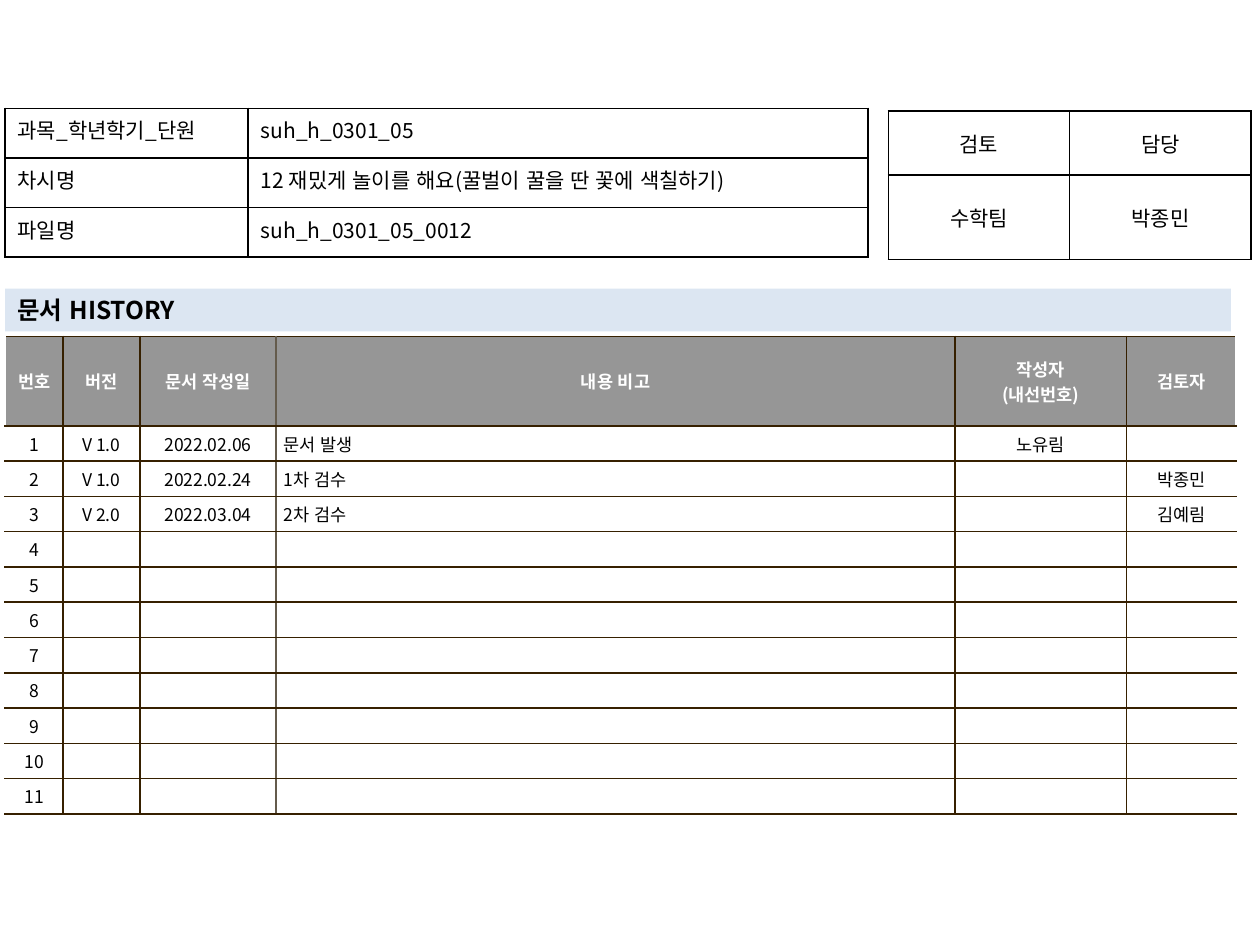
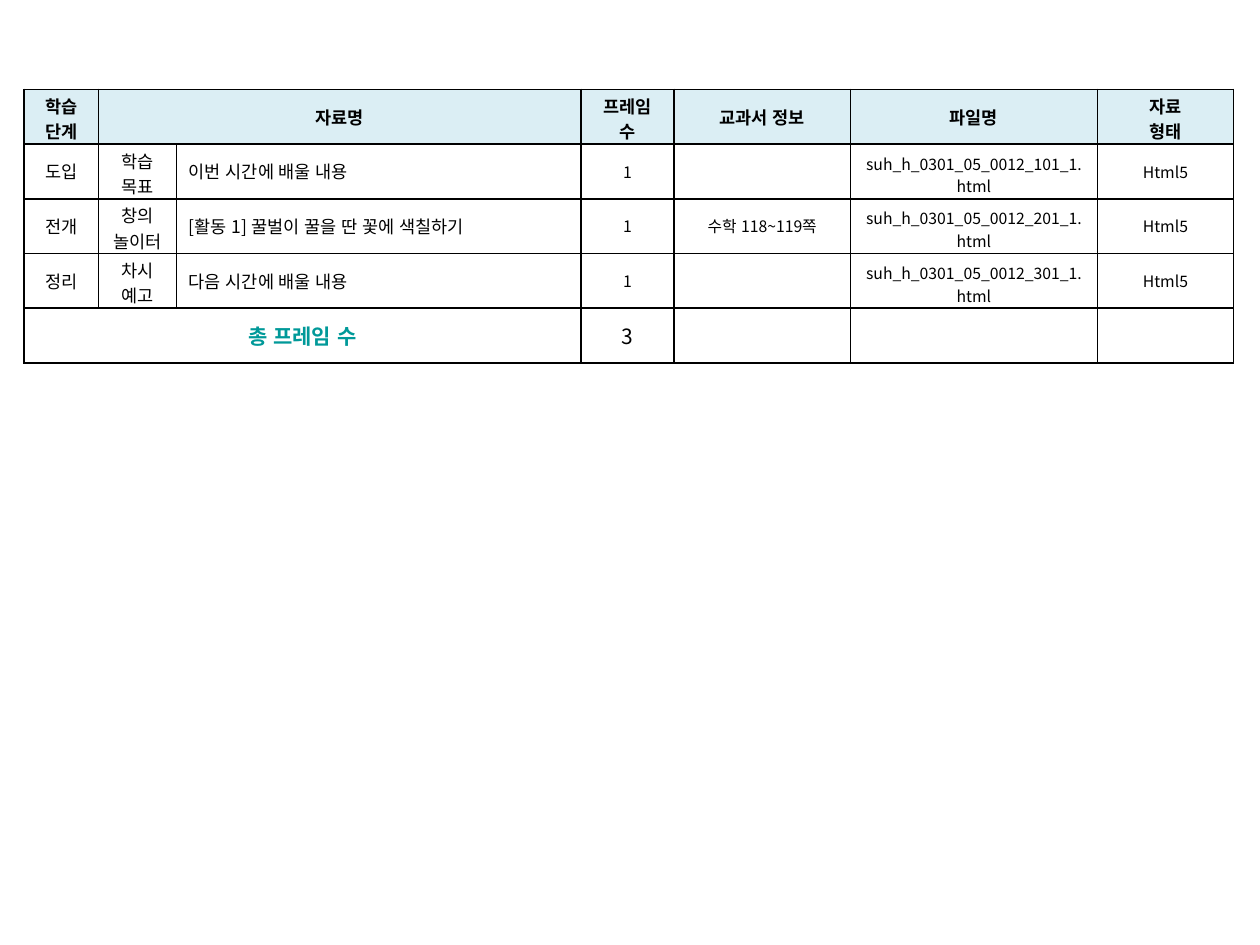
from dataclasses import dataclass, replace

from lxml import etree
from pptx import Presentation
from pptx.dml.color import RGBColor
from pptx.enum import lang, shapes, text
from pptx.oxml.ns import qn
from pptx.util import Inches, Pt

FONT = "Noto Sans CJK KR"
BLACK, WHITE, TEAL = "000000", "FFFFFF", "009999"
BAND, HEAD_GREY, HEAD_BLUE = "DCE6F2", "969696", "DBEEF4"
BROWN, LIGHT_BROWN = "362000", "645B4C"

LEFT, CENTER, JUSTIFY = text.PP_ALIGN.LEFT, text.PP_ALIGN.CENTER, text.PP_ALIGN.JUSTIFY
TOP, MIDDLE = text.MSO_ANCHOR.TOP, text.MSO_ANCHOR.MIDDLE


@dataclass(frozen=True)
class CellStyle:
    size: float = 12
    color: str = BLACK
    bold: bool = False
    align: text.PP_ALIGN = CENTER
    anchor: text.MSO_ANCHOR = MIDDLE
    fill: str | None = None
    inset_x: float = 0.1
    inset_top: float = 0.05
    inset_bottom: float = 0.05


@dataclass(frozen=True)
class Grid:
    left: float
    top: float
    cols: list[float]
    rows: list[float]


def rgb(color: str) -> RGBColor:
    return RGBColor.from_string(color)


def write(tf, content: str, style: CellStyle) -> None:
    """Fill a text frame, one paragraph per line of content."""
    tf.word_wrap = True
    for i, line in enumerate(content.split("\n")):
        p = tf.paragraphs[0] if i == 0 else tf.add_paragraph()
        p.alignment = style.align
        if not line:
            etree.SubElement(p._p, qn("a:endParaRPr"), sz=str(int(style.size * 100)))
            continue
        r = p.add_run()
        r.text = line
        look = {"size": Pt(style.size), "bold": style.bold, "name": FONT,
                "language_id": lang.MSO_LANGUAGE_ID.KOREAN}
        for name, value in look.items():
            setattr(r.font, name, value)
        r.font.color.rgb = rgb(style.color)
        etree.SubElement(r.font._element, qn("a:ea"), typeface=FONT)


def set_borders(cell, edges: dict[str, str]) -> None:
    """Draw 1 pt lines; edges maps L, R, T, B (in this order) to colours."""
    props = cell._tc.get_or_add_tcPr()
    for i, (side, color) in enumerate(edges.items()):
        ln = etree.Element(qn(f"a:ln{side}"), w=str(Pt(1)))
        fill = etree.SubElement(ln, qn("a:solidFill"))
        etree.SubElement(fill, qn("a:srgbClr"), val=color)
        props.insert(i, ln)


def fill_cell(cell, content: str, style: CellStyle, edges: dict[str, str]) -> None:
    layout = {"margin_left": Inches(style.inset_x), "margin_right": Inches(style.inset_x),
              "margin_top": Inches(style.inset_top),
              "margin_bottom": Inches(style.inset_bottom),
              "vertical_anchor": style.anchor}
    for name, value in layout.items():
        setattr(cell, name, value)
    if style.fill:
        cell.fill.solid()
        cell.fill.fore_color.rgb = rgb(style.fill)
    else:
        cell.fill.background()
    write(cell.text_frame, content, style)
    set_borders(cell, edges)


def add_grid(slide, grid: Grid, data, style_at, edges_at, spans=()) -> None:
    """Add a table; spans lists (row, first column, last column) to merge."""
    frame = slide.shapes.add_table(
        len(grid.rows), len(grid.cols), Inches(grid.left), Inches(grid.top),
        Inches(sum(grid.cols)), Inches(sum(grid.rows)))
    table = frame.table
    table.first_row = table.horz_banding = False
    for col, width in zip(table.columns, grid.cols):
        col.width = Inches(width)
    for row, height in zip(table.rows, grid.rows):
        row.height = Inches(height)
    for r, values in enumerate(data):
        for c, content in enumerate(values):
            fill_cell(table.cell(r, c), content, style_at(r, c), edges_at(c))
    for row, first, last in spans:
        table.cell(row, first).merge(table.cell(row, last))


def black_edges(col: int) -> dict[str, str]:
    return dict.fromkeys("LRTB", BLACK)


def history_edges(col: int) -> dict[str, str]:
    """Open at both outer sides, lighter between date and note."""
    edges = dict.fromkeys("LRTB", BROWN)
    if col == 0:
        del edges["L"]
    elif col == 2:
        edges["R"] = LIGHT_BROWN
    elif col == 3:
        edges["L"] = LIGHT_BROWN
    elif col == 5:
        del edges["R"]
    return edges


def add_history(slide) -> None:
    header = ["번호", "버전", "문서 작성일", "내용 비고", "작성자\n(내선번호)", "검토자"]
    entries = [
        ["V 1.0", "2022.02.06", "문서 발생", "노유림", ""],
        ["V 1.0", "2022.02.24", "1차 검수", "", "박종민"],
        ["V 2.0", "2022.03.04", "2차 검수", "", "김예림"],
    ]
    entries += [[""] * 5] * (11 - len(entries))
    data = [header] + [[str(n), *entry] for n, entry in enumerate(entries, 1)]
    body = CellStyle(size=10, fill=WHITE, inset_x=0.06, inset_top=0.04, inset_bottom=0.04)
    head = replace(body, color=WHITE, bold=True, fill=HEAD_GREY)
    note = replace(body, align=LEFT)

    def style_at(r: int, c: int) -> CellStyle:
        return head if r == 0 else note if c == 3 else body

    grid = Grid(0.04, 2.67, [0.46, 0.61, 1.08, 5.39, 1.36, 0.87], [0.71] + [0.25] * 11)
    add_grid(slide, grid, data, style_at, history_edges)


def add_band(slide, title: str) -> None:
    sp = slide.shapes.add_shape(shapes.MSO_SHAPE.RECTANGLE, Inches(0.04), Inches(2.29),
                                Inches(9.73), Inches(0.34))
    sp.shadow.inherit = False
    sp.fill.solid()
    sp.fill.fore_color.rgb = rgb(BAND)
    sp.line.fill.background()
    write(sp.text_frame, title, CellStyle(size=14, bold=True, align=LEFT))


def build_cover(slide) -> None:
    add_history(slide)
    approval = [["검토", "담당"], ["수학팀", "박종민"]]
    add_grid(slide, Grid(7.05, 0.88, [1.44] * 2, [0.51, 0.67]), approval,
             lambda r, c: CellStyle(), black_edges)
    add_band(slide, "문서 HISTORY")
    lesson = [
        ["과목_학년학기_단원", "suh_h_0301_05"],
        ["차시명", "12 재밌게 놀이를 해요(꿀벌이 꿀을 딴 꽃에 색칠하기)"],
        ["파일명", "suh_h_0301_05_0012"],
    ]
    label = CellStyle(align=JUSTIFY, anchor=TOP)
    value = replace(label, align=LEFT)
    add_grid(slide, Grid(0.04, 0.86, [1.93, 4.92], [1.18 / 3] * 3), lesson,
             lambda r, c: value if c else label, black_edges)


def build_frame_list(slide) -> None:
    header = ["학습 단계", "자료명", "", "프레임 수", "교과서 정보", "파일명", "자료\n형태"]
    steps = [
        ("도입", "학습 목표", "이번 시간에 배울 내용", ""),
        ("전개", "창의\n놀이터", "[활동 1] 꿀벌이 꿀을 딴 꽃에 색칠하기", "수학 118~119쪽"),
        ("정리", "차시 예고", "다음 시간에 배울 내용", ""),
    ]
    data = [header]
    for n, (stage, part, name, pages) in enumerate(steps, 1):
        data.append([stage, part, name, "1", pages,
                     f"suh_h_0301_05_0012_{n}01_1.html", "Html5"])
    data.append(["총 프레임 수", "", "", str(len(steps)), "", "", ""])
    body = CellStyle(size=10)
    head = replace(body, bold=True, fill=HEAD_BLUE)
    detail = replace(body, size=9)
    total = CellStyle(color=TEAL, bold=True)
    two_lines = {"inset_top": 0.03, "inset_bottom": 0}

    def style_at(r: int, c: int) -> CellStyle:
        if r == 0:
            return replace(head, **two_lines) if c in (0, 3, 6) else head
        if r == len(data) - 1:
            return CellStyle() if c else total
        if c == 1:
            return replace(body, **two_lines)
        if c == 2:
            return replace(body, align=LEFT)
        if c == 5:
            return replace(detail, inset_bottom=0)
        return detail if c else body

    grid = Grid(0.19, 0.71, [0.59, 0.62, 3.21, 0.74, 1.4, 1.96, 1.08], [2.17 / 5] * 5)
    add_grid(slide, grid, data, style_at, black_edges, spans=[(0, 1, 2), (4, 0, 2)])


def main() -> None:
    prs = Presentation()
    prs.slide_width, prs.slide_height = Inches(10), Inches(7.5)
    for build in (build_cover, build_frame_list):
        build(prs.slides.add_slide(prs.slide_layouts[6]))
    prs.save("out.pptx")


if __name__ == "__main__":
    main()
